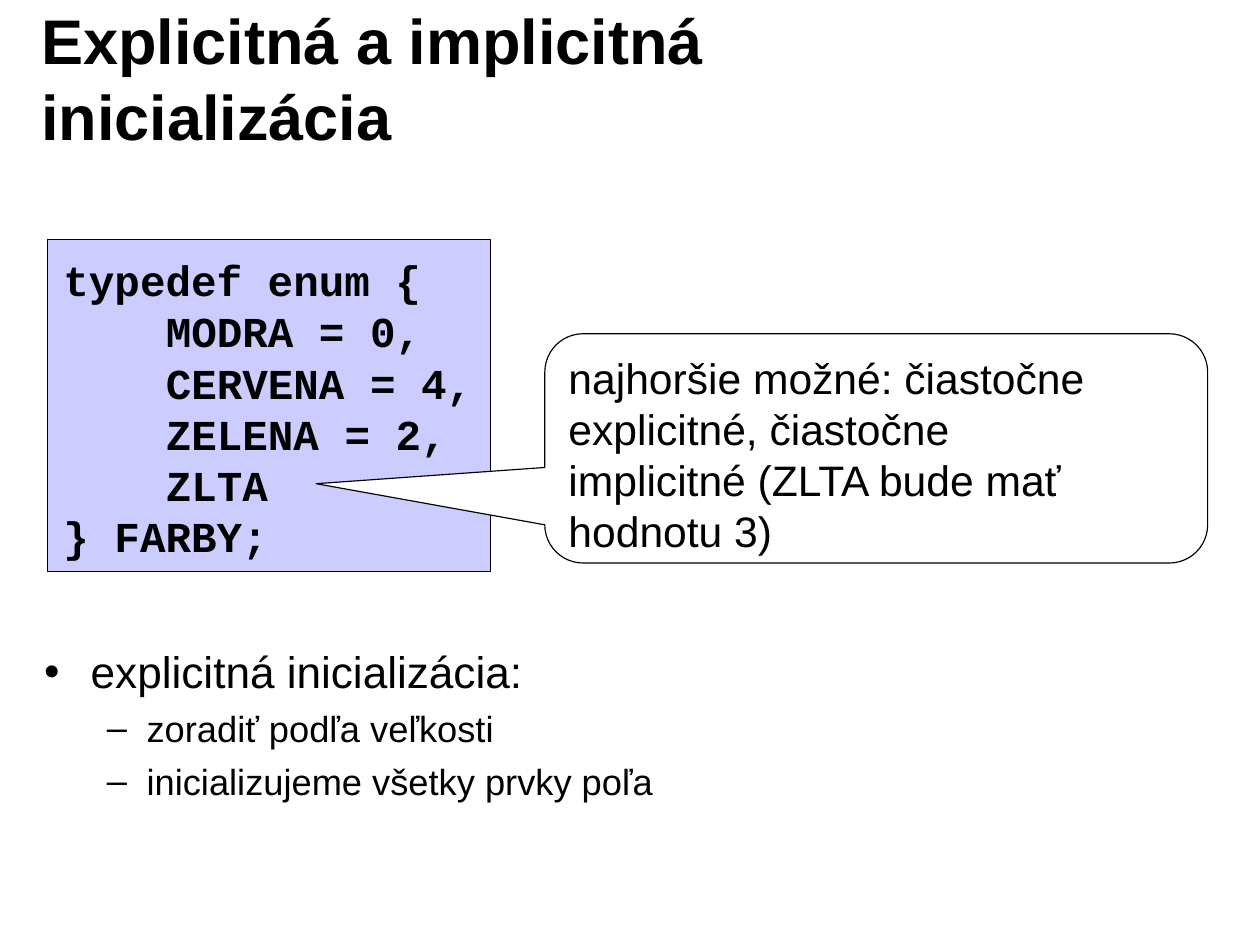
from dataclasses import dataclass

from pptx import Presentation
from pptx.dml.color import RGBColor
from pptx.enum.shapes import MSO_SHAPE as Shape
from pptx.enum.text import MSO_ANCHOR as Anchor, MSO_AUTO_SIZE as AutoSize, PP_ALIGN as Align
from pptx.shapes.autoshape import Shape as AutoShape
from pptx.slide import Slide
from pptx.text.text import TextFrame
from pptx.util import Cm, Length, Pt


@dataclass(frozen=True)
class Theme:
    black: RGBColor = RGBColor(0x00, 0x00, 0x00)
    white: RGBColor = RGBColor(0xFF, 0xFF, 0xFF)
    lilac: RGBColor = RGBColor(0xCC, 0xCC, 0xFF)
    text_font: str = "Arial"
    code_font: str = "Courier New"
    title_size: float = 40
    code_size: float = 27
    note_size: float = 27
    list_size: float = 28
    sublist_size: float = 23
    outline: float = 0.75


@dataclass(frozen=True)
class Box:
    left: float
    top: float
    width: float
    height: float

    def lengths(self) -> tuple[Length, ...]:
        return Cm(self.left), Cm(self.top), Cm(self.width), Cm(self.height)


@dataclass(frozen=True)
class Line:
    text: str
    size: float
    font: str = Theme.text_font
    bold: bool = False
    level: int = 0
    margin: float = 0
    hanging: float = 0
    before: float = 0


THEME = Theme()

TITLE_BOX = Box(0.64, 0.43, 22.66, 2.59)
CODE_PANEL = Box(1.07, 5.36, 9.91, 7.44)
CODE_BOX = Box(1.14, 5.54, 10.29, 7.14)
NOTE_BOX = Box(12.19, 7.47, 14.83, 5.13)
LIST_BOX = Box(0.71, 14.27, 24.54, 5.13)
NOTE_ADJUSTMENTS = (-0.845, 0.154, 0.167)

CODE_INDENT = 2.29  # four characters of the code font


def code(text: str, indent: float = 0) -> Line:
    return Line(text, THEME.code_size, THEME.code_font, bold=True, margin=indent)


def item(text: str) -> Line:
    return Line(text, THEME.list_size, margin=1.04, hanging=1.04, before=7)


def subitem(text: str) -> Line:
    return Line(text, THEME.sublist_size, level=1, margin=2.29, hanging=0.89, before=5.8)


TITLE = [Line("Explicitná a implicitná inicializácia", THEME.title_size, bold=True)]
CODE = [
    code("typedef enum {"),
    code("MODRA = 0,", CODE_INDENT),
    code("CERVENA = 4,", CODE_INDENT),
    code("ZELENA = 2,", CODE_INDENT),
    code("ZLTA", CODE_INDENT),
    code("} FARBY;"),
]
NOTE = [
    Line("najhoršie možné: čiastočne explicitné, čiastočne", THEME.note_size),
    Line("implicitné (ZLTA bude mať hodnotu 3)", THEME.note_size),
]
LIST = [
    item("explicitná inicializácia:"),
    subitem("zoradiť podľa veľkosti"),
    subitem("inicializujeme všetky prvky poľa"),
]


def write(tf: TextFrame, lines: list[Line], anchor: Anchor = Anchor.TOP, wrap: bool = True) -> None:
    tf.auto_size = AutoSize.NONE
    tf.word_wrap = wrap
    tf.vertical_anchor = anchor
    tf.margin_left = tf.margin_right = Cm(0.28)
    tf.margin_top = tf.margin_bottom = Cm(0.15)
    tf.text = "\n".join(line.text for line in lines)
    for p, line in zip(tf.paragraphs, lines):
        p.alignment = Align.LEFT
        p.level = line.level
        p.space_before = Pt(line.before)
        pPr = p._p.get_or_add_pPr()
        pPr.set("marL", str(Cm(line.margin)))
        pPr.set("indent", str(-Cm(line.hanging)))
        for r in p.runs:
            r.font.name = line.font
            r.font.size = Pt(line.size)
            r.font.bold = line.bold
            r.font.color.rgb = THEME.black


def place(sp: AutoShape, box: Box) -> AutoShape:
    sp.left, sp.top, sp.width, sp.height = box.lengths()
    return sp


def add_outlined(s: Slide, kind: Shape, box: Box, fill: RGBColor) -> AutoShape:
    sp = s.shapes.add_shape(kind, *box.lengths())
    sp.shadow.inherit = False
    sp.fill.solid()
    sp.fill.fore_color.rgb = fill
    sp.line.color.rgb = THEME.black
    sp.line.width = Pt(THEME.outline)
    return sp


def main() -> None:
    prs = Presentation()
    prs.slide_width, prs.slide_height = Cm(28.19), Cm(21.08)
    s = prs.slides.add_slide(prs.slide_layouts[1])

    title = place(s.shapes.title, TITLE_BOX)
    write(title.text_frame, TITLE, Anchor.MIDDLE)
    body = place(s.placeholders[1], LIST_BOX)
    write(body.text_frame, LIST)

    add_outlined(s, Shape.RECTANGLE, CODE_PANEL, THEME.lilac)
    listing = s.shapes.add_textbox(*CODE_BOX.lengths())
    write(listing.text_frame, CODE, wrap=False)

    note = add_outlined(s, Shape.ROUNDED_RECTANGULAR_CALLOUT, NOTE_BOX, THEME.white)
    for i, value in enumerate(NOTE_ADJUSTMENTS):
        note.adjustments[i] = value
    write(note.text_frame, NOTE)

    prs.save("out.pptx")


if __name__ == "__main__":
    main()
